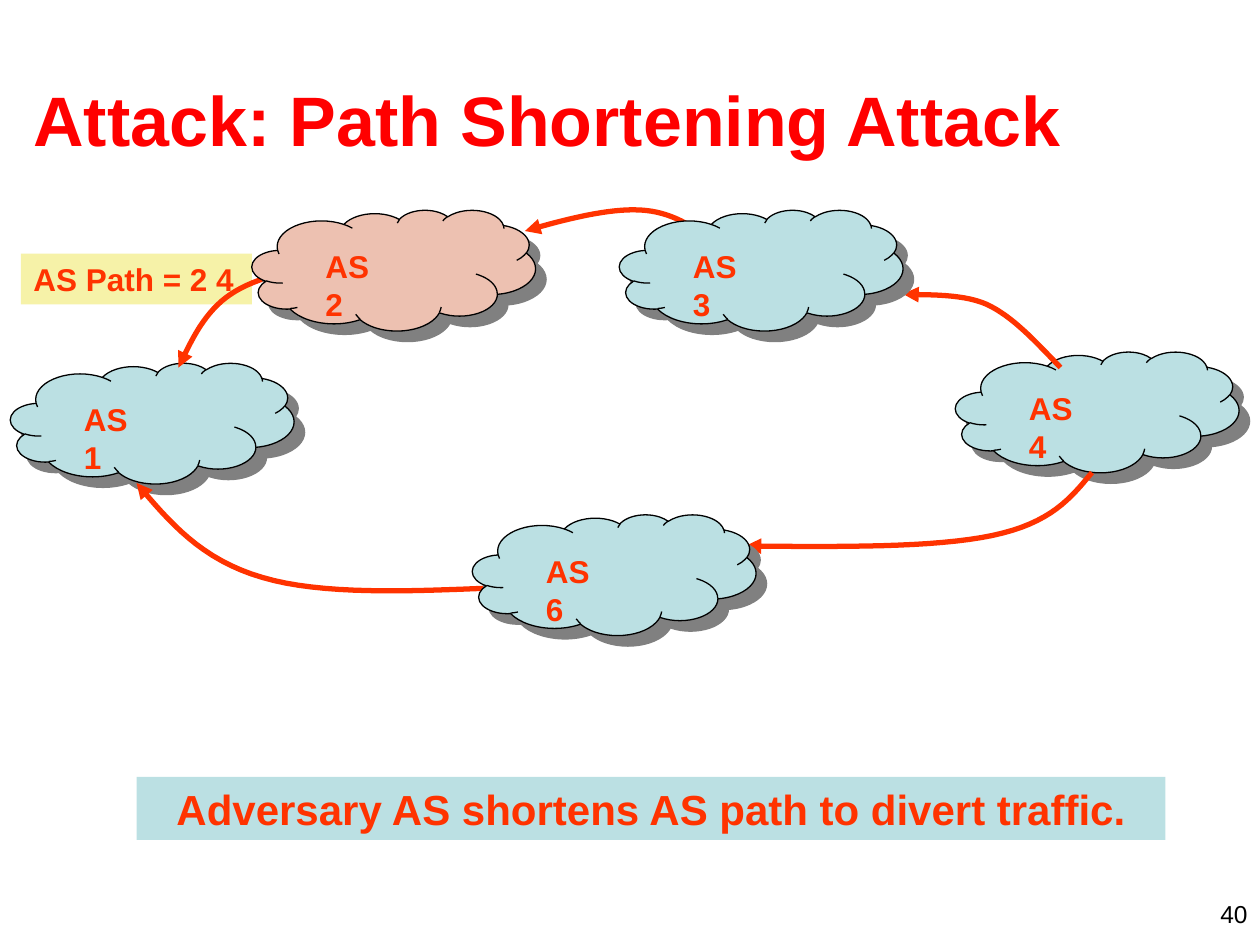
import pptx
import pptx.util
import pptx.dml.color
import pptx.enum.shapes
import pptx.enum.text
import pptx.oxml
import pptx.oxml.ns

Pt = pptx.util.Pt
ALIGN = pptx.enum.text.PP_ALIGN
ANCHOR = pptx.enum.text.MSO_ANCHOR
KIND = pptx.enum.shapes.MSO_SHAPE

RED, BLUE, PINK = "FF3300", "BBE0E3", "EDC1B1"
SIZE = (162, 69)
STEPS = 16

NOTE = dict(text="AS Path = 2 4", at=(12, 145, 132, 29), size=18, fill="F6F2A8")
TITLE = dict(text="Attack: Path Shortening Attack", at=(12, 23, 690, 90),
             size=40, hue="FF0000", anchor=ANCHOR.MIDDLE)
CLAIM = dict(text="Adversary AS shortens AS path to divert traffic.",
             at=(78, 444, 588, 36), size=24, fill=BLUE, align=ALIGN.CENTER)
PAGE = dict(text="40", at=(552, 510, 168, 18), size=14, hue="000000",
            bold=False, align=ALIGN.RIGHT)

BACK = [("AS 4", 546, 201, BLUE), ("AS 1", 6, 207.4, BLUE)]
FRONT = [("AS 6", 270, 294, BLUE), ("AS 2", 144, 120, PINK), ("AS 3", 354, 120, BLUE)]

ROUTES = [
    [(606, 210), (592.5, 196), (579, 181), (564, 174), (548.5, 167), (524, 169), (516, 168)],
    [(408, 138), (396, 129.5), (384, 121), (366, 120), (348, 119), (324, 125), (300, 132)],
    [(192, 150), (169, 154), (147, 158), (132, 168), (117, 178), (109.5, 194), (102, 210)],
    [(624, 270), (612, 284.5), (600.5, 299), (567, 306), (534, 313), (480, 312.5), (426, 312)],
    [(282, 336), (232.5, 338), (183.5, 340), (150, 330), (115, 320), (96.5, 298), (78, 276)],
]

SHADE = ('<a:effectLst %s><a:outerShdw dist="107950" dir="2700000" algn="ctr" rotWithShape="0">'
         '<a:srgbClr val="808080"/></a:outerShdw></a:effectLst>' % pptx.oxml.ns.nsdecls("a"))
HEAD = '<a:tailEnd %s type="triangle"/>' % pptx.oxml.ns.nsdecls("a")


def color(code):
    return pptx.dml.color.RGBColor.from_string(code)


def paint(shape, code):
    shape.fill.solid()
    shape.fill.fore_color.rgb = color(code)


def write(shapes, text, at, size, hue=RED, fill=None, bold=True,
          align=ALIGN.LEFT, anchor=ANCHOR.TOP, wrap=True, inset=(7.2, 3.6)):
    box = shapes.add_textbox(*map(Pt, at))
    if fill:
        paint(box, fill)
    frame = box.text_frame
    side, edge = map(Pt, inset)
    look = dict(word_wrap=wrap, vertical_anchor=anchor, margin_left=side,
                margin_right=side, margin_top=edge, margin_bottom=edge)
    for key, value in look.items():
        setattr(frame, key, value)
    para = frame.paragraphs[0]
    para.alignment = align
    run = para.add_run()
    run.text = text
    for key, value in dict(name="Arial", size=Pt(size), bold=bold).items():
        setattr(run.font, key, value)
    run.font.color.rgb = color(hue)


def cloud(shapes, name, left, top, fill):
    group = shapes.add_group_shape().shapes
    shape = group.add_shape(KIND.CLOUD, *map(Pt, (left, top, *SIZE)))
    paint(shape, fill)
    shape.line.color.rgb = color("000000")
    shape.line.width = Pt(0.75)
    shape._element.spPr.append(pptx.oxml.parse_xml(SHADE))
    write(group, name, (left + 36, top + 18.4, 52, 27), 18,
          fill=PINK if fill == PINK else None, wrap=False, inset=(6, 3))


def bezier(ends, t):
    s = 1 - t
    parts = (s ** 3, 3 * s * s * t, 3 * s * t * t, t ** 3)
    return tuple(Pt(sum(w * p[axis] for w, p in zip(parts, ends))) for axis in (0, 1))


def route(shapes, knots):
    trail = [bezier(knots[k:k + 4], step / STEPS)
             for k in range(0, len(knots) - 1, 3) for step in range(1, STEPS + 1)]
    pen = shapes.build_freeform(*map(Pt, knots[0]))
    pen.add_line_segments(trail, close=False)
    curve = pen.convert_to_shape()
    curve.shadow.inherit = False
    curve.fill.background()
    curve.line.color.rgb = color(RED)
    curve.line.width = Pt(3)
    curve.line._get_or_add_ln().append(pptx.oxml.parse_xml(HEAD))


def main():
    deck = pptx.Presentation()
    deck.slide_width, deck.slide_height = Pt(720), Pt(540)
    shapes = deck.slides.add_slide(deck.slide_layouts[6]).shapes
    for item in (NOTE, TITLE):
        write(shapes, **item)
    for item in BACK:
        cloud(shapes, *item)
    for knots in ROUTES:
        route(shapes, knots)
    for item in FRONT:
        cloud(shapes, *item)
    for item in (CLAIM, PAGE):
        write(shapes, **item)
    deck.save("out.pptx")


if __name__ == "__main__":
    main()
